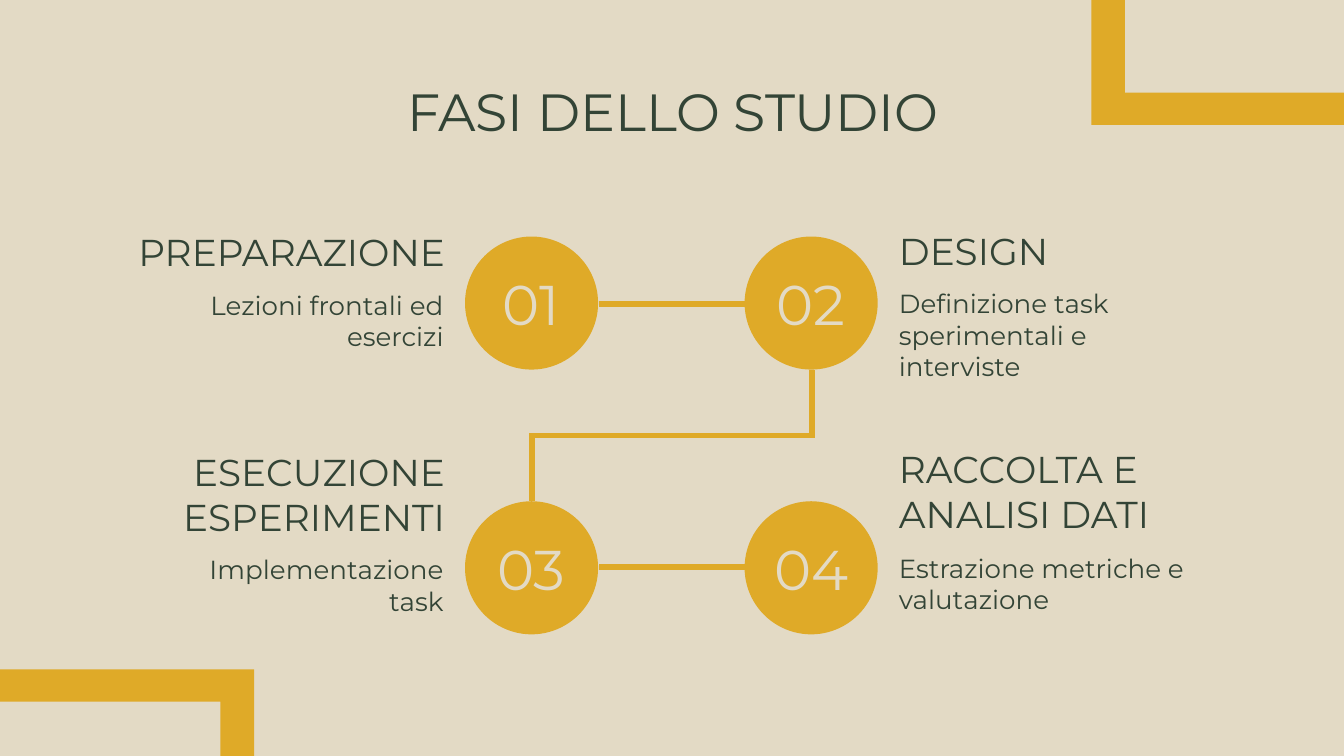
from lxml import etree
from pptx import Presentation
from pptx.dml.color import RGBColor
from pptx.enum import shapes, text
from pptx.oxml import ns
from pptx.util import Inches, Pt

SAND = RGBColor(0xE3, 0xDA, 0xC5)
GOLD = RGBColor(0xDF, 0xAA, 0x28)
GREEN = RGBColor(0x33, 0x44, 0x36)
LEFT, MID, RIGHT = text.PP_ALIGN.LEFT, text.PP_ALIGN.CENTER, text.PP_ALIGN.RIGHT
TOP, BASE = text.MSO_ANCHOR.TOP, text.MSO_ANCHOR.BOTTOM

deck = Presentation()
deck.slide_width = Inches(10)
deck.slide_height = Inches(10) * 9 // 16
slide = deck.slides.add_slide(deck.slide_layouts[6])
slide.background.fill.solid()
slide.background.fill.fore_color.rgb = SAND


def write(words, box=None, shape=None, size=14, color=GREEN, align=LEFT, anchor=TOP, side=0.1):
    if shape is None:
        shape = slide.shapes.add_textbox(*[Inches(v) for v in box])
    frame = shape.text_frame
    frame.word_wrap = True
    frame.vertical_anchor = anchor
    frame.margin_left = frame.margin_right = Inches(side)
    frame.margin_top = frame.margin_bottom = Inches(0.1)
    line = frame.paragraphs[0]
    line.alignment = align
    run = line.add_run()
    run.text = words
    run.font.name, run.font.size = "Montserrat", Pt(size)
    run.font.color.rgb = color


def paint(shape):
    shape.shadow.inherit = False
    shape.fill.solid()
    shape.fill.fore_color.rgb = GOLD
    shape.line.fill.background()


corners = [
    [(0, 4.98), (1.89, 4.98), (1.89, 5.63), (1.64, 5.63), (1.64, 5.22), (0, 5.22)],
    [(8.12, 0), (8.37, 0), (8.37, 0.69), (10, 0.69), (10, 0.93), (8.12, 0.93)],
]
for first, *rest in corners:
    pen = slide.shapes.build_freeform(Inches(first[0]), Inches(first[1]), scale=1.0)
    pen.add_line_segments([(Inches(x), Inches(y)) for x, y in rest], close=True)
    paint(pen.convert_to_shape())

write("FASI DELLO STUDIO", box=(0.79, 0.49, 8.43, 0.63), size=28, align=MID)

STRAIGHT, ELBOW = shapes.MSO_CONNECTOR.STRAIGHT, shapes.MSO_CONNECTOR.ELBOW
links = [
    (STRAIGHT, 4.46, 2.26, 5.54, 2.26),
    (ELBOW, 4.51, 2.2, 5.49, 4.28),
    (STRAIGHT, 4.46, 4.22, 5.54, 4.22),
]
for kind, *ends in links:
    link = slide.shapes.add_connector(kind, *[Inches(v) for v in ends])
    link.line.color.rgb = GOLD
    link.line.width = Pt(3)
    props = link._element.spPr
    etree.SubElement(props.find(ns.qn("a:ln")), ns.qn("a:miter"), lim="800000")
    etree.SubElement(props, ns.qn("a:effectLst"))
    if kind == ELBOW:
        props.xfrm.set("rot", "5400000")

steps = [
    ("PREPARAZIONE", "Lezioni frontali ed esercizi", (0.79, 1.7, 2.62, 0.44)),
    ("DESIGN", "Definizione task sperimentali e interviste", (6.59, 1.69, 2.4, 0.44)),
    ("ESECUZIONE ESPERIMENTI", "Implementazione task", (1.01, 3.28, 2.4, 0.83)),
    ("RACCOLTA E ANALISI DATI", "Estrazione metriche e valutazione", (6.59, 3.36, 2.4, 0.73)),
]
for i, (head, body, box) in enumerate(steps):
    row, col = divmod(i, 2)
    x, y = 3.46 + 2.08 * col, 1.76 + 1.97 * row
    disc = slide.shapes.add_shape(
        shapes.MSO_SHAPE.OVAL, Inches(x), Inches(y), Inches(0.99), Inches(0.99))
    paint(disc)
    write(f"{i + 1:02}", shape=disc, size=30, color=SAND, align=MID,
          anchor=text.MSO_ANCHOR.MIDDLE, side=0)
    align = LEFT if col else RIGHT
    write(head, box=box, size=20, align=align, anchor=BASE)
    place = (6.59, y + 0.28, 2.4, 0.83) if col else (1.03, y + 0.29, 2.37, 0.83)
    write(body, box=place, align=align)

deck.save("out.pptx")
